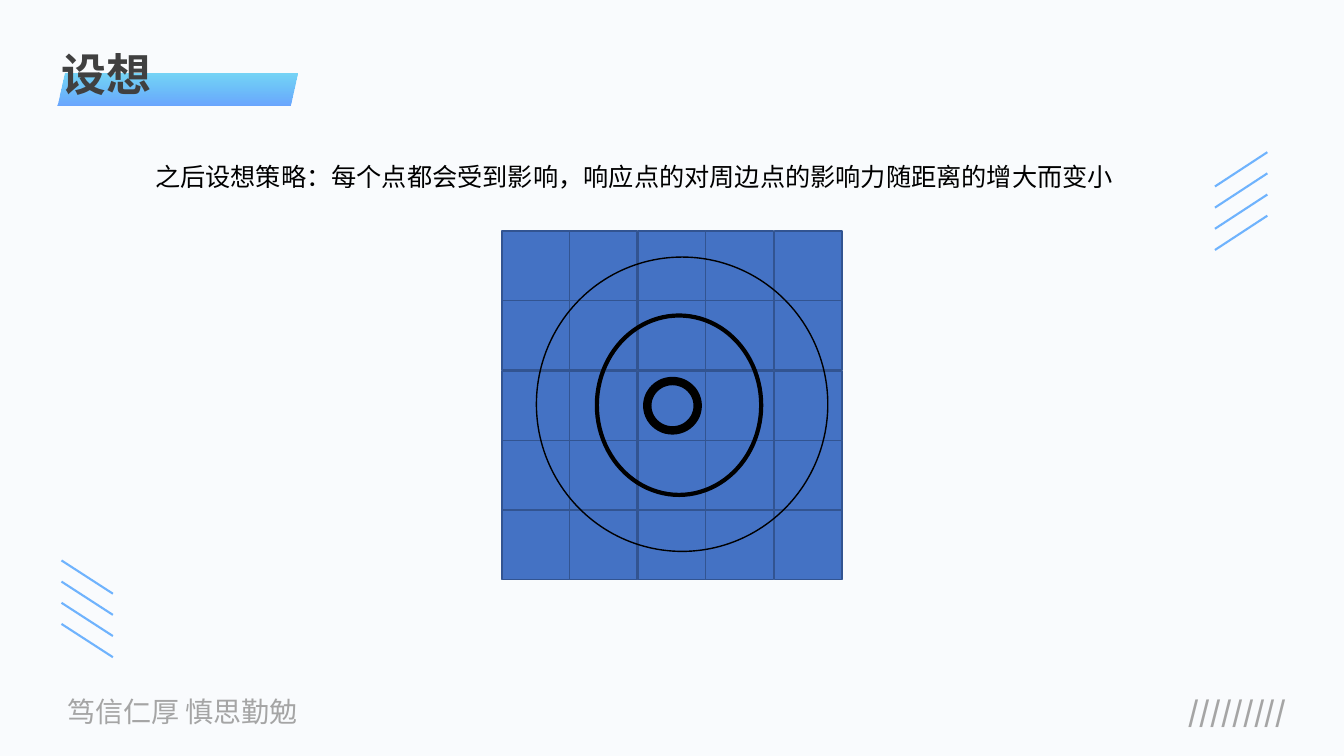
import pptx
import pptx.dml.color
import pptx.enum.shapes
import pptx.enum.text
import pptx.oxml
import pptx.oxml.ns
import pptx.util

RGBColor = pptx.dml.color.RGBColor
SHAPE = pptx.enum.shapes.MSO_SHAPE
ALIGN = pptx.enum.text.PP_ALIGN

PAPER = RGBColor(0xF9, 0xFB, 0xFD)
GREY = RGBColor(0xA5, 0xA5, 0xA5)
DARK = RGBColor(0x40, 0x40, 0x40)
BLACK = RGBColor(0, 0, 0)
SKY = RGBColor(0x6F, 0xB3, 0xFD)
CYAN = RGBColor(0x00, 0xB0, 0xF0)
AZURE = RGBColor(0x33, 0x85, 0xFF)
CELL = RGBColor(0x44, 0x72, 0xC4)
EDGE = RGBColor(0x32, 0x54, 0x91)

FONT = "Noto Sans CJK SC"
SCALE = 9144


def px(*sizes):
    return [pptx.util.Emu(size * SCALE) for size in sizes]


def add_child(node, tag, **attrs):
    child = pptx.oxml.ns.qn(tag)
    item = node.makeelement(child, attrs)
    node.append(item)


def write(frame, text, size=18, color=BLACK, bold=False, align=ALIGN.LEFT):
    para = frame.paragraphs[0]
    para.alignment = align
    run = para.add_run()
    run.text = text
    run.font.size = pptx.util.Pt(size)
    run.font.bold = bold
    run.font.color.rgb = color
    run.font.name = FONT
    add_child(run.font._element, "a:ea", typeface=FONT)


class Deck:
    def __init__(self, width, height):
        self.file = pptx.Presentation()
        self.file.slide_width, self.file.slide_height = px(width, height)
        self.slide = self.file.slides.add_slide(self.file.slide_layouts[6])
        self.slide.background.fill.solid()
        self.slide.background.fill.fore_color.rgb = PAPER

    def text(self, box, text, wrap=True, **style):
        frame = self.slide.shapes.add_textbox(*px(*box)).text_frame
        frame.word_wrap = wrap
        frame.auto_size = pptx.enum.text.MSO_AUTO_SIZE.SHAPE_TO_FIT_TEXT
        write(frame, text, **style)

    def shape(self, kind, box, fill=None, line=None, weight=1):
        shape = self.slide.shapes.add_shape(kind, *px(*box))
        shape.shadow.inherit = False
        if fill is None:
            shape.fill.background()
        else:
            shape.fill.solid()
            shape.fill.fore_color.rgb = fill
        if line is None:
            shape.line.fill.background()
        else:
            shape.line.color.rgb = line
            shape.line.width = pptx.util.Pt(weight)
        return shape

    def banner(self, box, slant, stops):
        shape = self.shape(SHAPE.PARALLELOGRAM, box)
        shape.adjustments[0] = slant
        shape.fill.gradient()
        shape.fill.gradient_angle = 270
        for stop, (place, color, alpha) in zip(shape.fill.gradient_stops, stops):
            stop.position = place
            stop.color.rgb = color
            tint = stop._gs.find(pptx.oxml.ns.qn("a:srgbClr"))
            add_child(tint, "a:alpha", val=str(alpha * 1000))

    def hatch(self, start, end, count, step):
        group = self.slide.shapes.add_group_shape()
        for row in range(count):
            drop = row * step
            ends = px(start[0], start[1] + drop, end[0], end[1] + drop)
            line = group.shapes.add_connector(
                pptx.enum.shapes.MSO_CONNECTOR.STRAIGHT, *ends)
            line.line.color.rgb = SKY
            line.line.width = pptx.util.Pt(1.5)
            add_child(line._element.spPr, "a:effectLst")

    def grid(self, left, top, count, width, height):
        for row in range(count):
            for col in range(count):
                place = (left + round(col * width), top + round(row * height))
                self.shape(SHAPE.RECTANGLE, (*place, 67, 69), CELL, EDGE)

    def ring(self, box, weight):
        self.shape(SHAPE.OVAL, box, line=BLACK, weight=weight)


def main():
    deck = Deck(1333, 750)
    deck.text((57, 684, 360, 44), "笃信仁厚 慎思勤勉", size=20, color=GREY)
    deck.text((1022, 684, 264, 44), "/" * 9, size=20, color=GREY, bold=True,
              align=ALIGN.RIGHT)
    deck.hatch((1257, 151), (1205, 185), 4, 21)
    deck.banner((57, 73, 238, 32), 0.23, [(0, CYAN, 52), (1, AZURE, 73)])
    deck.text((51, 41, 251, 64), "设想", size=32, color=DARK, bold=True)
    deck.hatch((61, 556), (112, 589), 4, 21)
    deck.grid(498, 229, 5, 67.4, 69.3)
    for box, weight in [((642, 378, 50, 49), 6),
                        ((592, 313, 163, 178), 3),
                        ((532, 255, 289, 292), 1)]:
        deck.ring(box, weight)
    deck.text((144, 155, 970, 40),
              "之后设想策略：每个点都会受到影响，响应点的对周边点的影响力随距离的增大而变小",
              wrap=False)
    deck.file.save("out.pptx")


if __name__ == "__main__":
    main()
